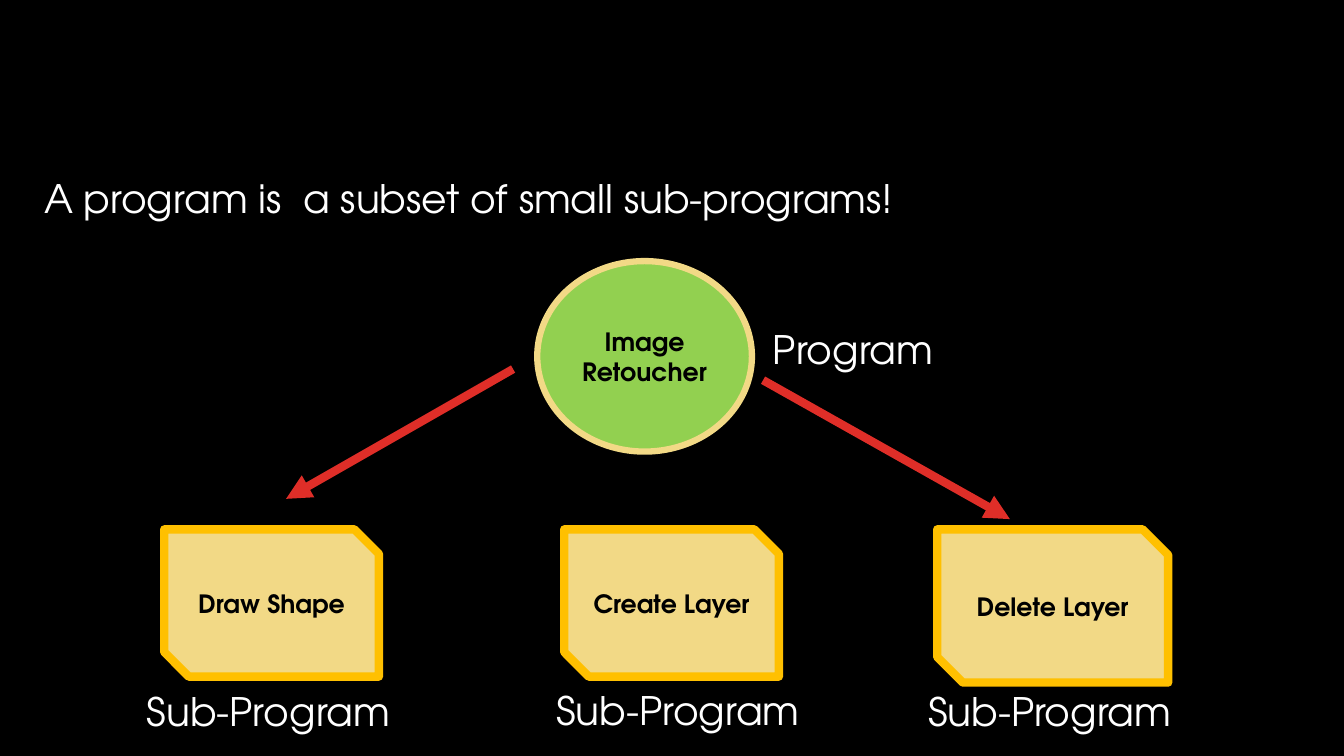
"""Build a slide that splits a program into its sub-programs."""
from pptx import Presentation
from pptx.dml.color import RGBColor
from pptx.enum.shapes import MSO_CONNECTOR, MSO_SHAPE
from pptx.enum.text import MSO_ANCHOR, MSO_AUTO_SIZE, PP_ALIGN
from pptx.oxml.ns import qn
from pptx.util import Cm, Pt
from lxml.etree import SubElement

BLACK = RGBColor(0x00, 0x00, 0x00)
WHITE = RGBColor(0xFF, 0xFF, 0xFF)
SAND = RGBColor(0xF2, 0xD9, 0x86)
GOLD = RGBColor(0xFF, 0xC0, 0x00)
GREEN = RGBColor(0x92, 0xD0, 0x50)
RED = RGBColor(0xDF, 0x2E, 0x28)
FONT = "TeX Gyre Adventor"


def write(shape, text, size=28, color=WHITE, bold=False,
          align=PP_ALIGN.LEFT, anchor=MSO_ANCHOR.TOP, wrap=False):
    frame = shape.text_frame
    frame.text = text
    frame.word_wrap = wrap
    frame.vertical_anchor = anchor
    frame.auto_size = MSO_AUTO_SIZE.NONE if wrap else MSO_AUTO_SIZE.SHAPE_TO_FIT_TEXT
    for para in frame.paragraphs:
        para.alignment = align
        para.line_spacing = 1.0
        para.space_before = Pt(0)
        font = para.font
        font.name, font.size, font.bold = FONT, Pt(size), bold
        font.color.rgb = color


deck = Presentation()
deck.slide_width, deck.slide_height = Cm(33.87), Cm(19.05)
slide = deck.slides.add_slide(deck.slide_layouts[5])
slide.background.fill.solid()
slide.background.fill.fore_color.rgb = BLACK
shapes = slide.shapes

title = shapes.title
title.left, title.top, title.width, title.height = Cm(0.86), Cm(4.27), Cm(22.28), Cm(1.45)
write(title, "A program is  a subset of small sub-programs!")

SNIP = MSO_SHAPE.SNIP_2_DIAG_RECTANGLE
nodes = [
    ("Image\nRetoucher", MSO_SHAPE.OVAL, 13.54, 6.58, 5.41, 4.8, GREEN, SAND, 4.5),
    ("Draw Shape", SNIP, 4.14, 13.34, 5.41, 3.71, SAND, GOLD, 6),
    ("Create Layer", SNIP, 14.22, 13.34, 5.41, 3.71, SAND, GOLD, 6),
    ("Delete Layer", SNIP, 23.62, 13.34, 5.82, 3.86, SAND, GOLD, 6),
]
for text, kind, left, top, width, height, fill, edge, weight in nodes:
    node = shapes.add_shape(kind, Cm(left), Cm(top), Cm(width), Cm(height))
    node.shadow.inherit = False
    node.fill.solid()
    node.fill.fore_color.rgb = fill
    node.line.color.rgb = edge
    node.line.width = Pt(weight)
    write(node, text, size=18, color=BLACK, bold=True,
          align=PP_ALIGN.CENTER, anchor=MSO_ANCHOR.MIDDLE, wrap=True)

labels = [
    ("Program", 19.23, 8.08, 4.65),
    ("Sub-Program", 3.45, 17.2, 6.76),
    ("Sub-Program", 13.77, 17.17, 6.76),
    ("Sub-Program", 23.14, 17.2, 6.76),
]
for text, left, top, width in labels:
    label = shapes.add_textbox(Cm(left), Cm(top), Cm(width), Cm(1.45))
    write(label, text)

for ends in [(12.93, 9.3, 7.21, 12.57), (19.23, 9.58, 25.45, 13.08)]:
    arrow = shapes.add_connector(MSO_CONNECTOR.STRAIGHT, *map(Cm, ends))
    arrow.line.color.rgb = RED
    arrow.line.width = Pt(6)
    SubElement(arrow.line._get_or_add_ln(), qn("a:tailEnd"), type="triangle")
    SubElement(arrow._element.spPr, qn("a:effectLst"))

deck.save("out.pptx")
